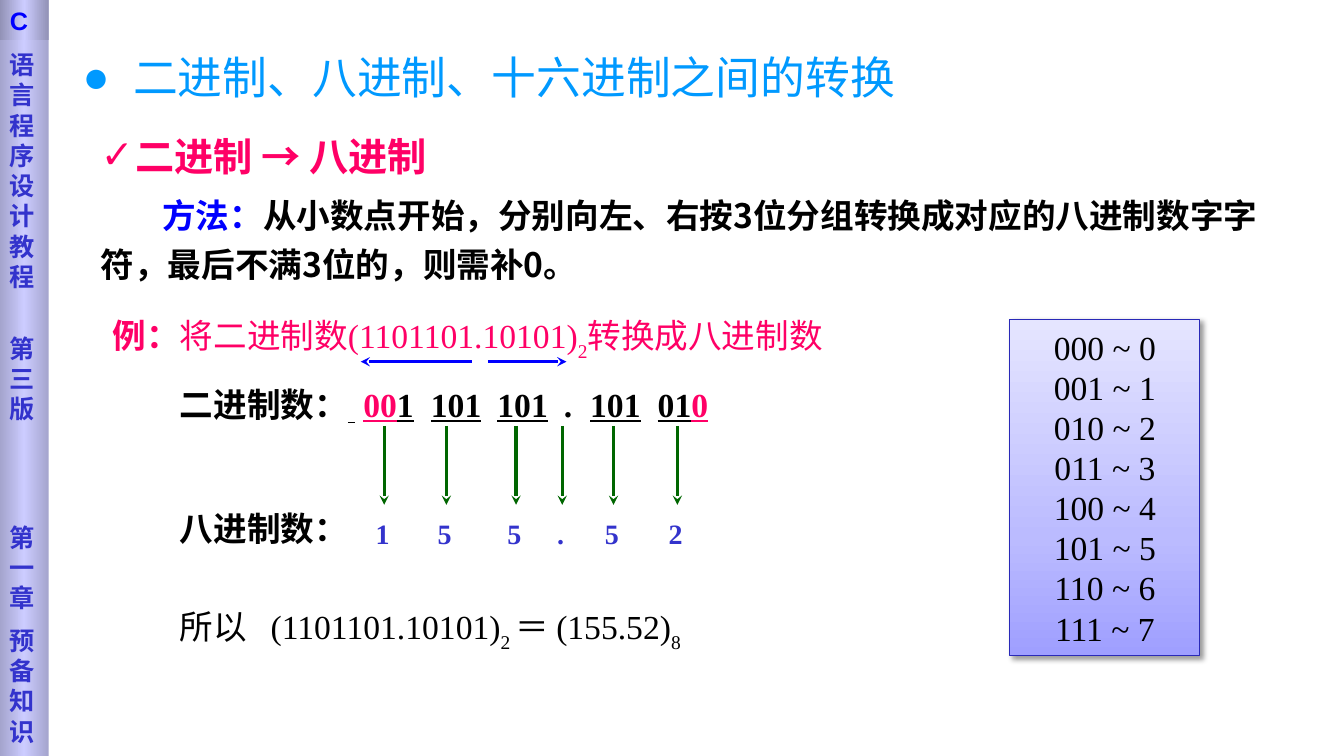
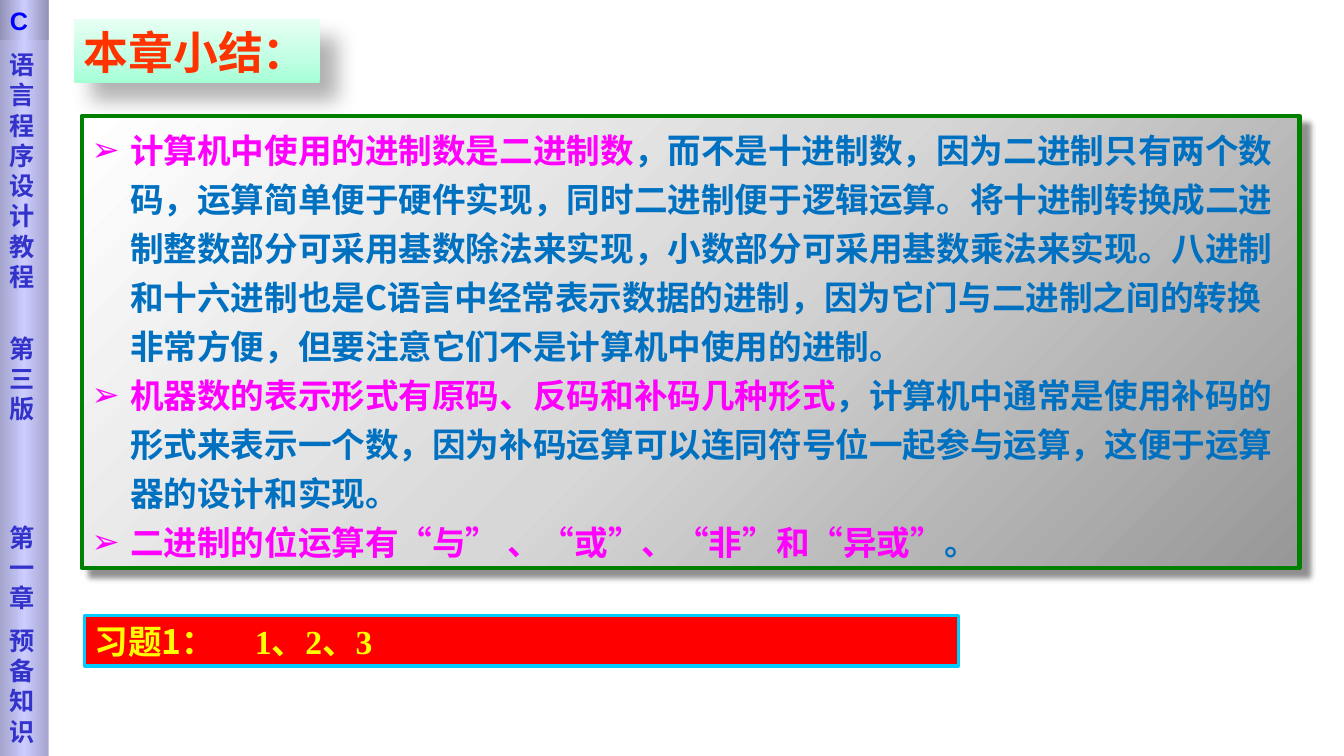
from dataclasses import dataclass

from lxml.etree import SubElement
from pptx import Presentation
from pptx.dml.color import RGBColor
from pptx.enum.shapes import MSO_CONNECTOR as Connector, MSO_SHAPE as Shape
from pptx.enum.text import MSO_ANCHOR as Anchor, MSO_AUTO_SIZE as AutoSize, PP_ALIGN as Align
from pptx.oxml.ns import qn
from pptx.util import Emu, Inches, Pt

CELL = Inches(1) // 12  # the slide is a grid of 160 columns and 90 rows
COLUMNS, ROWS = 160, 90
SANS, SERIF, ARIAL = "Noto Sans CJK SC", "Times New Roman", "Arial"
COLORS = {
    "black": "000000", "sky": "0099FF", "pink": "FF0066", "blue": "0000FF",
    "green": "006600", "indigo": "3333CC", "magenta": "FF00FF", "ocean": "0070C0",
    "orange": "FF3300", "yellow": "FFFF00", "red": "FF0000", "cyan": "00CCFF",
    "navy": "2929B8", "frame": "008000",
}
GRADIENTS = {  # angle, then position and colour of each stop
    "band": (0, (0, "A4A4CD"), (50, "CCCCFF"), (100, "A4A4CD")),
    "cap": (0, (0, "9292B6"), (50, "CCCCFF"), (100, "9292B6")),
    "lavender": (270, (0, "9F9FFF"), (35, "BBBBFF"), (100, "E5E5FF")),
    "mint": (270, (0, "A5FFD6"), (35, "BFFFE2"), (100, "E7FFF3")),
    "silver": (225, (0, "979797"), (50, "D7D7D7"), (100, "FFFFFF")),
}


@dataclass
class Box:
    """A region in grid cells; inner() gives a region relative to it."""
    left: float
    top: float
    width: float
    height: float

    def inner(self, left, top, width, height):
        return Box(self.left + left, self.top + top, width, height)

    def point(self, x, y):
        return cells(self.left + x), cells(self.top + y)


def cells(count):
    return Emu(round(count * CELL))


def color(name):
    return RGBColor.from_string(COLORS[name])


def place(shape, box):
    shape.left, shape.top = box.point(0, 0)
    shape.width, shape.height = cells(box.width), cells(box.height)


def prepare_text(shape, anchor=Anchor.MIDDLE):
    frame = shape.text_frame
    frame.word_wrap = True
    frame.auto_size = AutoSize.NONE
    frame.vertical_anchor = anchor
    return frame


def paragraphs_for(frame, count):
    return [frame.paragraphs[0]] + [frame.add_paragraph() for _ in range(count - 1)]


def write(paragraph, *runs, align=Align.LEFT, **shared):
    """Add runs given as text or (text, style) over the shared style."""
    paragraph.alignment = align
    for item in runs:
        text, own = (item, {}) if isinstance(item, str) else item
        style = {"size": 24, "font": SANS, "color": "black", "bold": False, **shared, **own}
        run = paragraph.add_run()
        run.text = text
        font = run.font
        font.size, font.name, font.bold = Pt(style["size"]), style["font"], style["bold"]
        font.underline = style.get("underline", False)
        font.color.rgb = color(style["color"])
        properties = run._r.get_or_add_rPr()
        SubElement(properties, qn("a:ea")).set("typeface", SANS)
        if style.get("subscript"):
            properties.set("baseline", "-30000")


def set_indent(paragraph, margin, first):
    properties = paragraph._p.get_or_add_pPr()
    properties.set("marL", str(Inches(margin)))
    properties.set("indent", str(Inches(first)))
    return properties


def set_bullet(paragraph, mark, mark_color, hang):
    properties = set_indent(paragraph, hang, -hang)
    holder = SubElement(properties, qn("a:buClr"))
    SubElement(holder, qn("a:srgbClr")).set("val", COLORS[mark_color])
    SubElement(properties, qn("a:buFont")).set("typeface", ARIAL)
    SubElement(properties, qn("a:buChar")).set("char", mark)


def set_tabs(paragraph, *stops):
    tabs = SubElement(paragraph._p.get_or_add_pPr(), qn("a:tabLst"))
    for stop in stops:
        tab = SubElement(tabs, qn("a:tab"))
        tab.set("pos", str(Inches(stop)))
        tab.set("algn", "l")


def set_gradient(shape, name):
    angle, *stops = GRADIENTS[name]
    gradient = SubElement(shape._element.spPr, qn("a:gradFill"))
    stop_list = SubElement(gradient, qn("a:gsLst"))
    for position, value in stops:
        stop = SubElement(stop_list, qn("a:gs"))
        stop.set("pos", str(position * 1000))
        SubElement(stop, qn("a:srgbClr")).set("val", value)
    SubElement(gradient, qn("a:lin")).set("ang", str(angle * 60000))


def set_shadow(shape, opacity, blur, distance):
    effects = shape._element.spPr.find(qn("a:effectLst"))
    shadow = SubElement(effects, qn("a:outerShdw"))
    for key, value in (("blurRad", Pt(blur)), ("dist", Pt(distance)), ("dir", 45 * 60000)):
        shadow.set(key, str(value))
    shadow.set("algn", "tl")
    shadow.set("rotWithShape", "0")
    shade = SubElement(shadow, qn("a:srgbClr"))
    shade.set("val", COLORS["black"])
    SubElement(shade, qn("a:alpha")).set("val", str(opacity * 1000))


def decorate(shape, gradient=None, fill=None, line=None, shadow=None):
    """Fill, outline as (colour, points), shadow as (opacity, blur, distance)."""
    if gradient:
        set_gradient(shape, gradient)
    else:
        shape.fill.solid()
        shape.fill.fore_color.rgb = color(fill)
    if line:
        shape.line.color.rgb, shape.line.width = color(line[0]), Pt(line[1])
    else:
        shape.line.fill.background()
    shape.shadow.inherit = False
    if shadow:
        set_shadow(shape, *shadow)


def add_panel(slide, box, **look):
    panel = slide.shapes.add_shape(Shape.RECTANGLE, *box.point(0, 0),
                                   cells(box.width), cells(box.height))
    decorate(panel, **look)
    return panel


def add_label(slide, box, *runs, tabs=(), **style):
    label = slide.shapes.add_textbox(*box.point(0, 0), cells(box.width), cells(box.height))
    paragraph = prepare_text(label).paragraphs[0]
    write(paragraph, *runs, **style)
    if tabs:
        set_tabs(paragraph, *tabs)


def add_arrow(slide, start, end, line_color):
    arrow = slide.shapes.add_connector(Connector.STRAIGHT, *start, *end)
    arrow.line.color.rgb, arrow.line.width = color(line_color), Pt(2.25)
    properties = arrow._element.spPr
    SubElement(properties.find(qn("a:ln")), qn("a:tailEnd")).set("type", "stealth")
    SubElement(properties, qn("a:effectLst"))


def add_sidebar(slide, box):
    band = add_panel(slide, box, gradient="band")
    frame = prepare_text(band, Anchor.TOP)
    frame.margin_top = Inches(0.49)
    entries = (("语言程序设计教程", 0), ("第三版", 30), ("第一章", 70), ("预备知识", 9))
    for paragraph, (text, gap) in zip(paragraphs_for(frame, len(entries)), entries):
        write(paragraph, text, size=18, color="indigo", bold=True)
        paragraph.line_spacing, paragraph.space_before = Pt(21.6), Pt(gap)
    cap = add_panel(slide, box.inner(0, 0, box.width, 4.8), gradient="cap")
    write(prepare_text(cap).paragraphs[0], "C", size=18, font=ARIAL, color="blue", bold=True)


def add_base_slide(presentation, title_box, body_box):
    """Add a slide with the sidebar; return it with its title and body."""
    slide = presentation.slides.add_slide(presentation.slide_layouts[1])
    title, body = slide.placeholders
    place(title, title_box)
    place(body, body_box)
    prepare_text(title)
    prepare_text(body, Anchor.TOP)
    add_sidebar(slide, Box(0, 0, 5.8, ROWS))
    return slide, title, body


def fill_method(body):
    heading, method = paragraphs_for(body.text_frame, 2)
    write(heading, "二进制 → 八进制", size=28, color="pink", bold=True)
    heading.line_spacing, heading.space_before = Pt(30), Pt(0)
    set_bullet(heading, "✓", "pink", 0.34)
    write(method, ("方法：", {"color": "blue"}),
          "从小数点开始，分别向左、右按3位分组转换成对应的八进制数字字符，最后不满3位的，则需补0。",
          bold=True)
    method.line_spacing, method.space_before = Pt(35), Pt(5)
    SubElement(set_indent(method, 0, 0.61), qn("a:buNone"))


def add_example(slide, box):
    serif, subscript = {"font": SERIF}, {"font": SERIF, "subscript": True}
    added, underlined = {"color": "pink", "underline": True}, {"underline": True}
    binary = "(1101101.10101)"
    add_label(slide, box.inner(0, 0, box.width, 6), ("例：", {"bold": True}), "将二进制数",
              (binary, serif), ("2", subscript), "转换成八进制数", color="pink")
    for start, end in ((43.9, 30.7), (45.84, 55.2)):
        add_arrow(slide, box.point(start, 5.76), box.point(end, 5.76), "blue")

    add_label(slide, box.inner(8, 7.8, 66.7, 6), ("二进制数：", {"font": SANS}),
              (" ", underlined), "\t", ("00", added), ("1", underlined), "\t",
              ("101", underlined), "\t", ("101", underlined), "\t.\t",
              ("101", underlined), "\t", ("01", underlined), ("0", added),
              tabs=(1.82, 2.49, 3.15, 3.81, 4.07, 4.74), font=SERIF, bold=True)
    add_label(slide, box.inner(8, 22.6, 22.6, 6), "八进制数：", bold=True)
    for x, digit in zip((33.5, 40.9, 49.2, 54.7, 60.8, 68.4), "155.52"):
        add_arrow(slide, box.point(x, 13.4), box.point(x, 22.8), "green")
        add_label(slide, box.inner(x - 2.55, 23.6, 4.7, 5.2), digit, align=Align.CENTER,
                  size=20, font=SERIF, color="indigo", bold=True)
    add_label(slide, box.inner(8, 34.7, 81, 6), "所以\t", (binary, serif), ("2 ", subscript),
              ("＝ (155.52)", serif), ("8", subscript), tabs=(0.9,))


def add_octal_key(slide, box):
    panel = add_panel(slide, box, gradient="lavender", line=("navy", 0.75), shadow=(40, 4, 3))
    for value, paragraph in enumerate(paragraphs_for(prepare_text(panel), 8)):
        write(paragraph, f"{value:03b} ~ {value}", font=SERIF, align=Align.CENTER)
        paragraph.line_spacing = Pt(28.7)


def add_conversion_slide(presentation):
    slide, title, body = add_base_slide(
        presentation, Box(9.84, 5.3, 107.8, 7.6), Box(10.8, 15.7, 142, 20.8))
    title.text_frame.margin_left = 0
    heading = title.text_frame.paragraphs[0]
    write(heading, "二进制、八进制、十六进制之间的转换", size=32, font=SERIF, color="sky")
    set_bullet(heading, "●", "sky", 0.5)
    fill_method(body)
    add_example(slide, Box(12.24, 37.3, 90, 41))
    add_octal_key(slide, Box(120.24, 38, 22.6, 40))


def add_summary_slide(presentation):
    slide, title, body = add_base_slide(
        presentation, Box(8.76, 2.3, 29.3, 7.6), Box(9.72, 13.8, 145, 53.8))
    decorate(title, gradient="mint", shadow=(30, 15, 18))
    write(title.text_frame.paragraphs[0], "本章小结：",
          size=32, font=SERIF, color="orange", bold=True)
    decorate(body, gradient="silver", line=("frame", 3), shadow=(43, 4, 8.4))
    points = (
        ("计算机中使用的进制数是二进制数",
         "，而不是十进制数，因为二进制只有两个数码，运算简单便于硬件实现，同时二进制便于逻辑运算。"
         "将十进制转换成二进制整数部分可采用基数除法来实现，小数部分可采用基数乘法来实现。"
         "八进制和十六进制也是C语言中经常表示数据的进制，因为它门与二进制之间的转换非常方便，"
         "但要注意它们不是计算机中使用的进制。"),
        ("机器数的表示形式有原码、反码和补码几种形式",
         "，计算机中通常是使用补码的形式来表示一个数，因为补码运算可以连同符号位一起参与运算，"
         "这便于运算器的设计和实现。"),
        ("二进制的位运算有“与” 、“或”、“非”和“异或”", "。"),
    )
    for paragraph, (key, detail) in zip(paragraphs_for(body.text_frame, len(points)), points):
        write(paragraph, (key, {"color": "magenta"}), detail, color="ocean", bold=True)
        paragraph.line_spacing, paragraph.space_before = Pt(35), Pt(0)
        set_bullet(paragraph, "➢", "magenta", 0.38)
    exercises = add_panel(slide, Box(10.08, 73.3, 104, 6), fill="red", line=("cyan", 2.25))
    paragraph = prepare_text(exercises).paragraphs[0]
    write(paragraph, "习题1：\t", ("1、2、3", {"font": SERIF}), color="yellow", bold=True)
    set_tabs(paragraph, 1.59)


def main():
    presentation = Presentation()
    presentation.slide_width, presentation.slide_height = cells(COLUMNS), cells(ROWS)
    add_conversion_slide(presentation)
    add_summary_slide(presentation)
    presentation.save("out.pptx")


if __name__ == "__main__":
    main()
